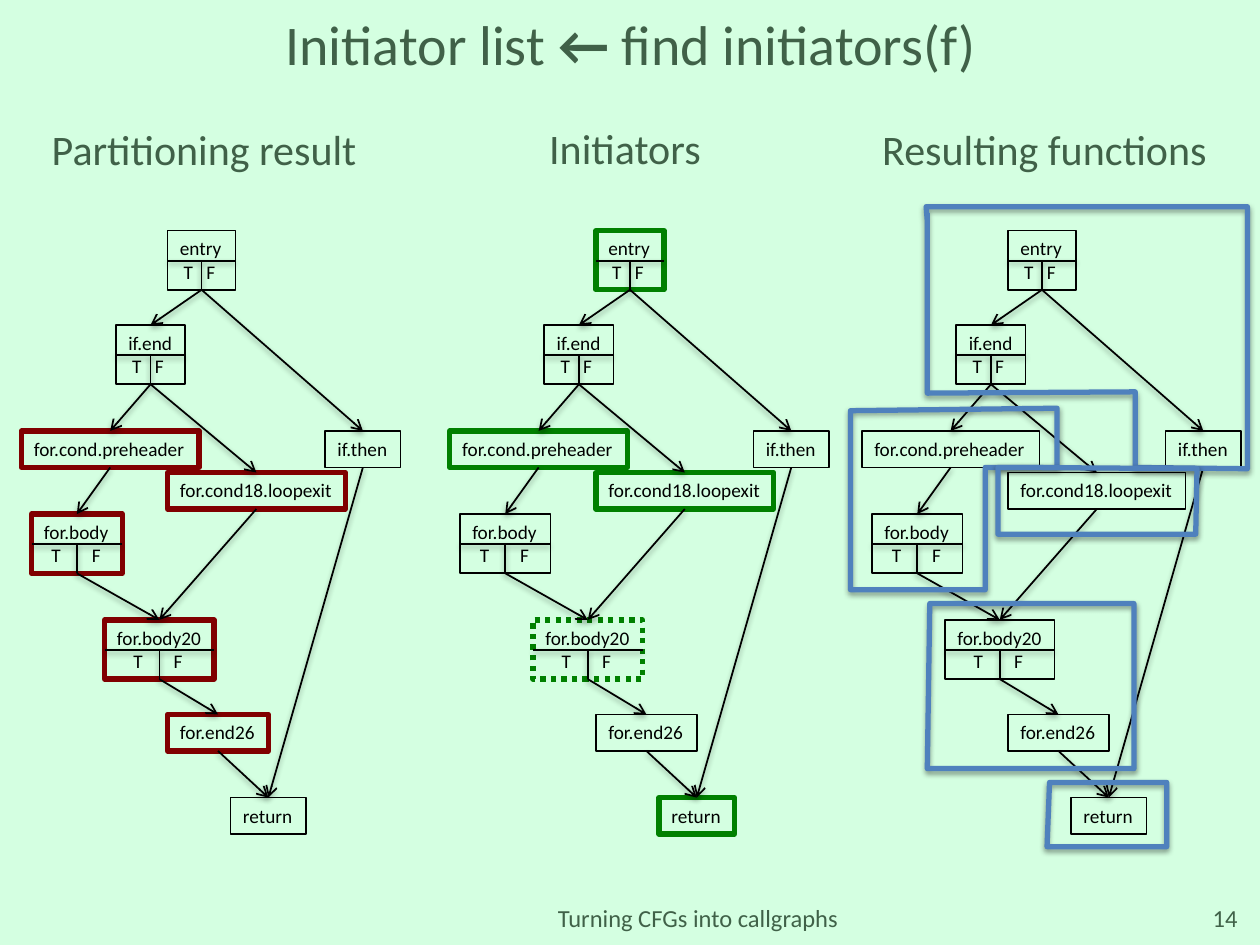
from lxml import etree
from pptx import Presentation
from pptx.dml.color import RGBColor
from pptx.enum.dml import MSO_LINE
from pptx.enum.shapes import MSO_CONNECTOR, MSO_SHAPE
from pptx.enum.text import MSO_ANCHOR, MSO_AUTO_SIZE, PP_ALIGN
from pptx.oxml import parse_xml
from pptx.oxml.ns import nsdecls, qn
from pptx.util import Inches, Pt

RECTANGLE = MSO_SHAPE.RECTANGLE
STRAIGHT = MSO_CONNECTOR.STRAIGHT
DOTTED = MSO_LINE.ROUND_DOT
LEFT, CENTER, RIGHT = PP_ALIGN.LEFT, PP_ALIGN.CENTER, PP_ALIGN.RIGHT
TOP, MIDDLE = MSO_ANCHOR.TOP, MSO_ANCHOR.MIDDLE
NO_AUTOFIT = MSO_AUTO_SIZE.NONE

MINT = RGBColor(0xD4, 0xFF, 0xE1)
FOREST = RGBColor(0x40, 0x61, 0x48)
BLACK = RGBColor(0, 0, 0)
MAROON = RGBColor(0x80, 0, 0)
GREEN = RGBColor(0, 0x80, 0)
BLUE = RGBColor(0x4F, 0x81, 0xBD)

FONT = "Calibri"
SMALL_HEIGHT, BRANCH_HEIGHT, DIVIDER_DROP = 0.29, 0.47, 0.24

# name: left, top, width, tab stops of T and F (empty for a block without branch)
BLOCKS = {
    "entry": (1.33, 1.83, 0.54, (0.03, 0.21)),
    "if.end": (0.92, 2.58, 0.55, (0.03, 0.21)),
    "for.cond.preheader": (0.17, 3.42, 1.41, ()),
    "for.cond18.loopexit": (1.33, 3.75, 1.41, ()),
    "for.body": (0.25, 4.08, 0.72, (0.06, 0.38)),
    "if.then": (2.58, 3.42, 0.6, ()),
    "for.body20": (0.83, 4.92, 0.87, (0.13, 0.45)),
    "for.end26": (1.33, 5.67, 0.8, ()),
    "return": (1.83, 6.33, 0.6, ()),
}
EDGES = [
    ("entry", "if.end"),
    ("entry", "if.then"),
    ("if.end", "for.cond.preheader"),
    ("if.end", "for.cond18.loopexit"),
    ("for.cond.preheader", "for.body"),
    ("for.body", "for.body20"),
    ("for.cond18.loopexit", "for.body20"),
    ("for.body20", "for.end26"),
    ("for.end26", "return"),
    ("if.then", "return"),
]
PARTITIONED = ("for.cond.preheader", "for.cond18.loopexit", "for.body", "for.body20", "for.end26")
INITIATORS = ("entry", "for.cond.preheader", "for.cond18.loopexit", "for.body20", "return")
# heading, heading left, heading top, graph offset, marked blocks, mark colour, dotted blocks
COLUMNS = [
    ("Partitioning result", 0.08, 0.93, 0, PARTITIONED, MAROON, ()),
    ("Initiators", 3.42, 0.92, 3.4, INITIATORS, GREEN, ("for.body20",)),
    ("Resulting functions", 6.75, 0.93, 6.67, (), BLACK, ()),
]
# points and whether the outline is closed
FUNCTION_OUTLINES = [
    ([(6.75, 3.26), (6.75, 4.68), (7.82, 4.68), (7.82, 3.71), (8.39, 3.71), (8.39, 3.24)], True),
    ([(7.36, 1.69), (7.36, 3.12), (9.01, 3.11), (9.01, 3.71), (9.9, 3.72), (9.9, 1.64),
      (7.35, 1.64), (7.36, 1.76)], False),
    ([(7.99, 3.71), (9.5, 3.72), (9.49, 4.24), (7.92, 4.24), (7.92, 3.71), (8.15, 3.71)], False),
    ([(7.38, 4.79), (9, 4.79), (9, 6.1), (7.36, 6.1)], True),
    ([(8.33, 6.21), (9.26, 6.21), (9.26, 6.72), (8.31, 6.72)], True),
]


def add_span(para, text, size=11, color=BLACK, bold=False, align=LEFT):
    """Add formatted text to a paragraph."""
    para.alignment = align
    span = para.add_run()
    span.text = text
    span.font.name, span.font.size, span.font.bold = FONT, Pt(size), bold
    span.font.color.rgb = color


def add_label(page, text, left, top, width, height, anchor=TOP, **style):
    """Add a wrapped text box with one line."""
    box = page.shapes.add_textbox(Inches(left), Inches(top), Inches(width), Inches(height))
    box.text_frame.word_wrap = True
    box.text_frame.vertical_anchor = anchor
    add_span(box.text_frame.paragraphs[0], text, color=FOREST, **style)


def add_shadow(shape):
    """Give a shape a soft shadow below it."""
    shape._element.spPr.append(parse_xml(
        f'<a:effectLst {nsdecls("a")}>'
        '<a:outerShdw blurRad="40000" dist="20000" dir="5400000" rotWithShape="0">'
        '<a:srgbClr val="000000"><a:alpha val="38000"/></a:srgbClr>'
        '</a:outerShdw></a:effectLst>'))


def add_line(page, start, end, arrow=False):
    """Draw a thin black line, with an arrowhead at its end if wanted."""
    line = page.shapes.add_connector(STRAIGHT, *map(Inches, (*start, *end)))
    line.line.color.rgb = BLACK
    line.line.width = Pt(1)
    if arrow:
        etree.SubElement(line.line._ln, qn("a:tailEnd"), type="arrow")
    add_shadow(line)


def block_frame(name, offset):
    """Return the centre, top and bottom of a block."""
    left, top, width, stops = BLOCKS[name]
    height = BRANCH_HEIGHT if stops else SMALL_HEIGHT
    return offset + left + width / 2, top, top + height


def add_block(page, name, offset, color, weight, dotted):
    """Draw a basic block with its name and branch labels."""
    left, _, width, stops = BLOCKS[name]
    _, top, bottom = block_frame(name, offset)
    box = page.shapes.add_shape(RECTANGLE, *map(Inches, (offset + left, top, width, bottom - top)))
    box.shadow.inherit = False
    box.fill.background()
    box.line.color.rgb = color
    box.line.width = Pt(weight)
    if dotted:
        box.line.dash_style = DOTTED
    frame = box.text_frame
    frame.word_wrap = True
    frame.vertical_anchor = TOP
    frame.margin_right = 0
    add_span(frame.paragraphs[0], name)
    if stops:
        para = frame.add_paragraph()
        tabs = etree.SubElement(para._p.get_or_add_pPr(), qn("a:tabLst"))
        for stop in stops:
            etree.SubElement(tabs, qn("a:tab"), pos=str(Inches(stop)), algn="l")
        add_span(para, "\tT\tF")


def add_graph(page, offset, marked, mark_color, dotted):
    """Draw the control flow graph at a horizontal offset."""
    for name in BLOCKS:
        color, weight = (mark_color, 3) if name in marked else (BLACK, 1)
        add_block(page, name, offset, color, weight, name in dotted)
    for source, target in EDGES:
        source_center, _, bottom = block_frame(source, offset)
        target_center, top, _ = block_frame(target, offset)
        add_line(page, (source_center, bottom), (target_center, top), arrow=True)
    for name, (left, top, width, stops) in BLOCKS.items():
        if stops:
            center, _, bottom = block_frame(name, offset)
            middle = top + DIVIDER_DROP
            add_line(page, (offset + left, middle), (offset + left + width, middle))
            add_line(page, (center, bottom), (center, middle))


def add_outline(page, points, closed):
    """Draw a blue outline around the blocks of one function."""
    first, *rest = [(Inches(x), Inches(y)) for x, y in points]
    builder = page.shapes.build_freeform(*first)
    builder.add_line_segments(rest, close=closed)
    outline = builder.convert_to_shape()
    outline.fill.background()
    outline.line.color.rgb = BLUE
    outline.line.width = Pt(3)
    add_shadow(outline)


def add_title(page):
    """Fill the title placeholder."""
    title = page.shapes.title
    title.left, title.top, title.width, title.height = map(Inches, (0.17, 0.17, 9.67, 0.35))
    title.text_frame.auto_size = NO_AUTOFIT
    title.text_frame.vertical_anchor = MIDDLE
    for text, bold in (("Initiator list ", False), ("←", True), (" find initiators(f)", False)):
        add_span(title.text_frame.paragraphs[0], text, size=32, color=FOREST, bold=bold, align=CENTER)


def main():
    """Build and save the deck."""
    deck = Presentation()
    deck.slide_width, deck.slide_height = Inches(10), Inches(7.5)
    page = deck.slides.add_slide(deck.slide_layouts[5])
    page.background.fill.solid()
    page.background.fill.fore_color.rgb = MINT
    add_title(page)
    add_label(page, "14", 9.17, 7.08, 0.75, 0.4, anchor=MIDDLE, size=14, align=RIGHT)
    add_label(page, "Turning CFGs into callgraphs", 2, 7.08, 7.08, 0.4,
              anchor=MIDDLE, size=14, align=CENTER)
    for heading, left, top, offset, marked, color, dotted in COLUMNS:
        add_label(page, heading, left, top, 3.08, 0.5, size=24, align=CENTER)
        add_graph(page, offset, marked, color, dotted)
    for points, closed in FUNCTION_OUTLINES:
        add_outline(page, points, closed)
    deck.save("out.pptx")


if __name__ == "__main__":
    main()
